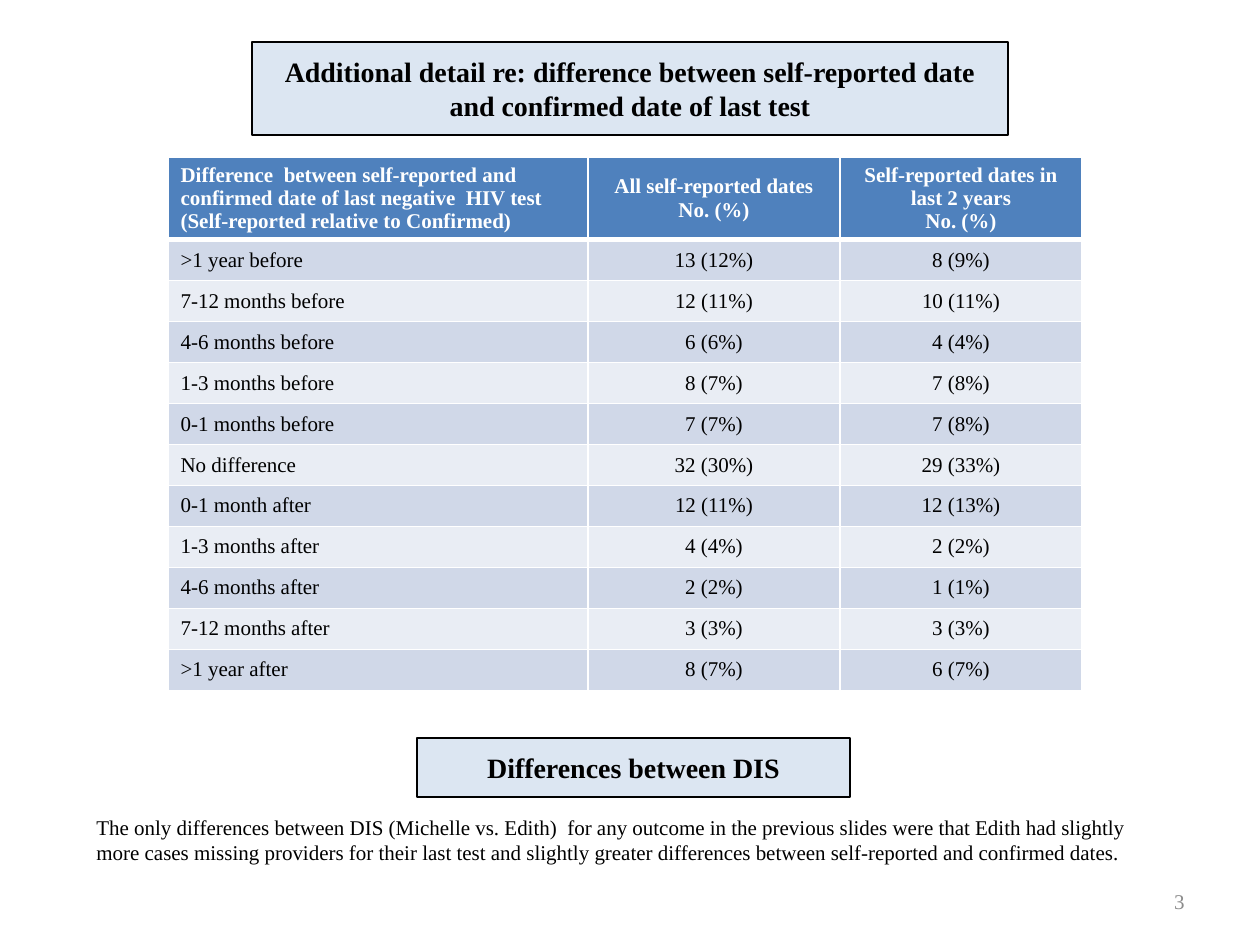
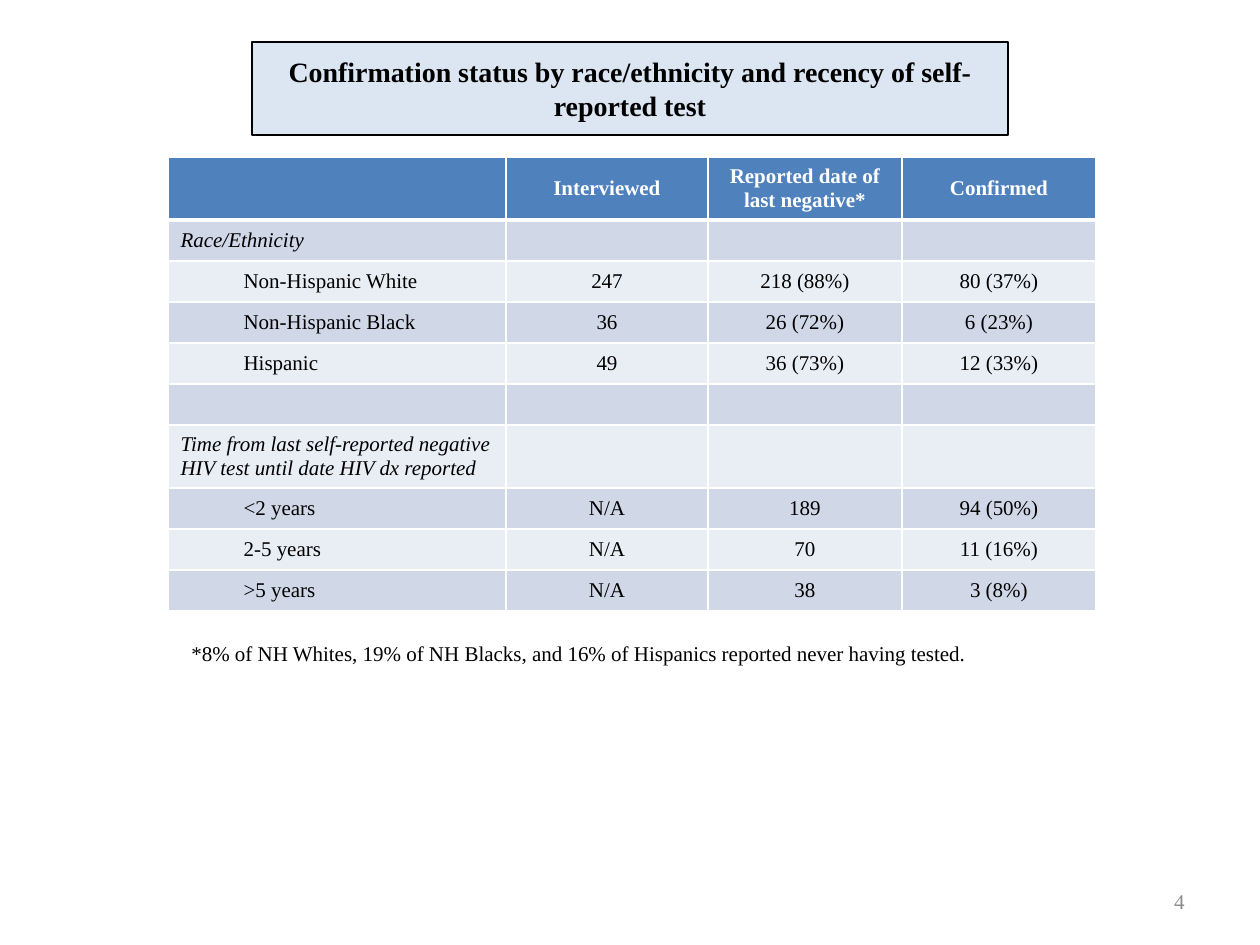
from lxml import etree
from pptx import Presentation
from pptx import util as u
from pptx.dml.color import RGBColor
from pptx.enum import shapes, text
from pptx.oxml.ns import qn

# Shared look
FONT = "Times New Roman"
BLACK, WHITE, GREY = "000000", "FFFFFF", "8C8C8C"
BANNER, HEADER, BANDS = "DCE6F2", "4F81BD", ("D0D8E8", "E9EDF4")
LEFT, CENTER, RIGHT = text.PP_ALIGN.LEFT, text.PP_ALIGN.CENTER, text.PP_ALIGN.RIGHT
TOP, MIDDLE = text.MSO_ANCHOR.TOP, text.MSO_ANCHOR.MIDDLE

# Lengths in px
PX = 914400 / 126
SLIDE_SIZE = (1260, 945)
TITLE_BOX = (252, 42, 756, 93)
NUMBER_BOX = (903, 876, 294, 50)
TABLE_LEFT, TABLE_TOP = 168, 157
ROW, INDENT = 41, 63

# Content: one dict per slide
SLIDES = [
    {
        "number": "3",
        "banners": [
            ("Additional detail re: difference between self-reported date "
             "and confirmed date of last test", TITLE_BOX),
            ("Differences between DIS", (417, 738, 433, 59)),
        ],
        "note": ("The only differences between DIS (Michelle vs. Edith)  for any outcome "
                 "in the previous slides were that Edith had slightly more cases missing "
                 "providers for their last test and slightly greater differences between "
                 "self-reported and confirmed dates.", (84, 808, 1092, 63)),
        "columns": (420, 252, 242),
        "tall_rows": {0: 82},
        "sections": (),
        "indented": False,
        "rows": [
            ("Difference  between self-reported and confirmed date of last negative  HIV test\n"
             "(Self-reported relative to Confirmed)",
             "All self-reported dates\nNo. (%)",
             "Self-reported dates in last 2 years\nNo. (%)"),
            (">1 year before", "13 (12%)", "8 (9%)"),
            ("7-12 months before", "12 (11%)", "10 (11%)"),
            ("4-6 months before", "6 (6%)", "4 (4%)"),
            ("1-3 months before", "8 (7%)", "7 (8%)"),
            ("0-1 months before", "7 (7%)", "7 (8%)"),
            ("No difference", "32 (30%)", "29 (33%)"),
            ("0-1 month after", "12 (11%)", "12 (13%)"),
            ("1-3 months after", "4 (4%)", "2 (2%)"),
            ("4-6 months after", "2 (2%)", "1 (1%)"),
            ("7-12 months after", "3 (3%)", "3 (3%)"),
            (">1 year after", "8 (7%)", "6 (7%)"),
        ],
    },
    {
        "number": "4",
        "banners": [
            ("Confirmation status by race/ethnicity and recency of self-reported test",
             TITLE_BOX),
        ],
        "note": ("*8% of NH Whites, 19% of NH Blacks, and 16% of Hispanics reported "
                 "never having tested.", (179, 634, 829, 38)),
        "columns": (338, 202, 194, 194),
        "tall_rows": {0: 59, 6: 59},
        "sections": (1, 6),
        "indented": True,
        "rows": [
            ("", "Interviewed", "Reported date of last negative*", "Confirmed"),
            ("Race/Ethnicity", "", "", ""),
            ("Non-Hispanic White", "247", "218 (88%)", "80 (37%)"),
            ("Non-Hispanic Black", "36", "26 (72%)", "6 (23%)"),
            ("Hispanic", "49", "36 (73%)", "12 (33%)"),
            ("", "", "", ""),
            ("Time from last self-reported negative HIV test until date HIV dx reported",
             "", "", ""),
            ("<2 years", "N/A", "189", "94 (50%)"),
            ("2-5 years", "N/A", "70", "11 (16%)"),
            (">5 years", "N/A", "38", "3 (8%)"),
        ],
    },
]


def px(length):
    return u.Emu(round(length * PX))


def color(value):
    return RGBColor.from_string(value)


def set_all(target, values):
    for name, value in values.items():
        setattr(target, name, value)


def write(frame, content, align=LEFT, ink=BLACK, size=12, **font):
    """Fill a text frame, one paragraph per line."""
    frame.text = content
    for paragraph in frame.paragraphs:
        paragraph.alignment = align
        for run in paragraph.runs:
            set_all(run.font, {"name": FONT, "size": u.Pt(size), "bold": False, **font})
            run.font.color.rgb = color(ink)
        if not paragraph.runs:
            etree.SubElement(paragraph._p, qn("a:endParaRPr"), sz=str(size * 100))


def add_text(slide, content, box, anchor=TOP, **style):
    frame = slide.shapes.add_textbox(*map(px, box)).text_frame
    set_all(frame, {"word_wrap": True, "vertical_anchor": anchor})
    write(frame, content, **style)


def add_banner(slide, content, box):
    shape = slide.shapes.add_shape(shapes.MSO_SHAPE.RECTANGLE, *map(px, box))
    shape.shadow.inherit = False
    shape.fill.solid()
    shape.fill.fore_color.rgb = color(BANNER)
    shape.line.color.rgb = color(BLACK)
    shape.line.width = u.Pt(0.75)
    set_all(shape.text_frame, {
        "word_wrap": True, "vertical_anchor": MIDDLE,
        "margin_left": u.Inches(0.2), "margin_right": u.Inches(0.2),
        "margin_top": u.Inches(0.1), "margin_bottom": u.Inches(0.1),
    })
    write(shape.text_frame, content, align=CENTER, size=16, bold=True)


def add_borders(cell, top, bottom):
    """White cell edges; widths in points."""
    properties = cell._tc.get_or_add_tcPr()
    for place, (side, width) in enumerate(
            {"lnL": 1, "lnR": 1, "lnT": top, "lnB": bottom}.items()):
        line = etree.Element(qn(f"a:{side}"), w=str(u.Pt(width)))
        fill = etree.SubElement(line, qn("a:solidFill"))
        etree.SubElement(fill, qn("a:srgbClr"), val=WHITE)
        properties.insert(place, line)


def add_data_table(slide, content):
    rows, widths = content["rows"], content["columns"]
    heights = [content["tall_rows"].get(index, ROW) for index in range(len(rows))]
    table = slide.shapes.add_table(
        len(rows), len(widths), px(TABLE_LEFT), px(TABLE_TOP),
        px(sum(widths)), px(sum(heights))).table
    for column, width in zip(table.columns, widths):
        column.width = px(width)
    for r, (values, height) in enumerate(zip(rows, heights)):
        table.rows[r].height = px(height)
        is_header, is_section = r == 0, r in content["sections"]
        for c, value in enumerate(values):
            cell = table.cell(r, c)
            cell.vertical_anchor = MIDDLE
            cell.fill.solid()
            cell.fill.fore_color.rgb = color(HEADER if is_header else BANDS[(r - 1) % 2])
            add_borders(cell, top=3 if r == 1 else 1, bottom=3 if is_header else 1)
            write(cell.text_frame, value, align=CENTER if c else LEFT,
                  ink=WHITE if is_header else BLACK, bold=is_header, italic=is_section)
            if content["indented"] and c == 0 and value and not is_section:
                paragraph = cell.text_frame.paragraphs[0]
                paragraph.level = 1
                paragraph._p.get_or_add_pPr().set("marL", str(px(INDENT)))


def main():
    presentation = Presentation()
    presentation.slide_width, presentation.slide_height = map(px, SLIDE_SIZE)
    for content in SLIDES:
        slide = presentation.slides.add_slide(presentation.slide_layouts[6])
        add_data_table(slide, content)
        add_text(slide, *content["note"])
        for banner in content["banners"]:
            add_banner(slide, *banner)
        add_text(slide, content["number"], NUMBER_BOX, anchor=MIDDLE, align=RIGHT, ink=GREY)
    presentation.save("out.pptx")


if __name__ == "__main__":
    main()
